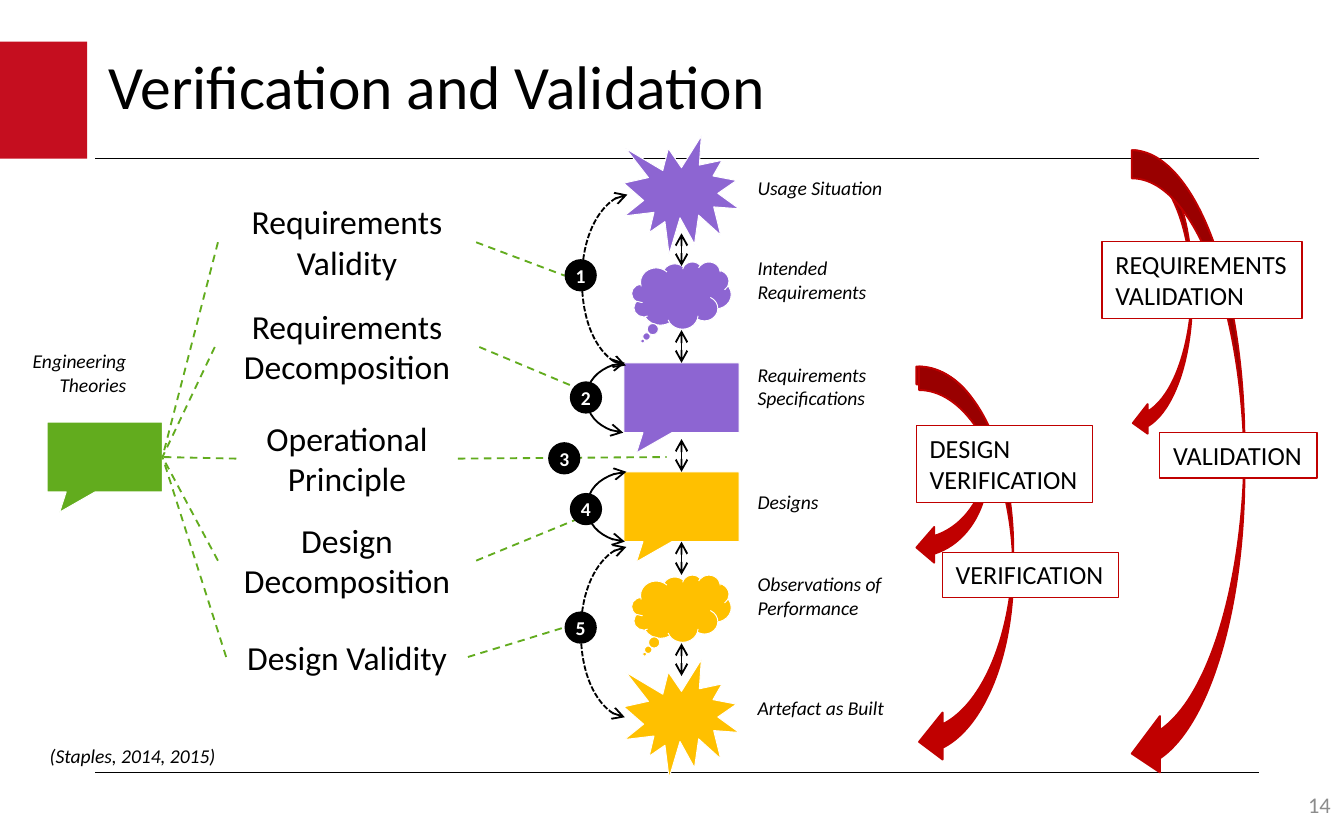
from dataclasses import dataclass

from lxml.etree import SubElement
from pptx import Presentation
from pptx.dml.color import RGBColor
from pptx.enum.dml import MSO_LINE as Dash
from pptx.enum.shapes import MSO_CONNECTOR as Link, MSO_SHAPE as Shape
from pptx.enum.text import MSO_ANCHOR as Anchor, MSO_AUTO_SIZE as Fit, PP_ALIGN as Align
from pptx.oxml.ns import qn
from pptx.util import Cm, Pt

TOP, LEFT, BOTTOM, RIGHT = range(4)


@dataclass(frozen=True)
class Theme:
    font: str = "Calibri"
    black: str = "000000"
    white: str = "FFFFFF"
    grey: str = "8C8C8C"
    banner: str = "C50E1F"
    red: str = "C00000"
    green: str = "62AC1E"
    purple: str = "8D65D2"
    gold: str = "FFC000"
    title: float = 33
    label: float = 18
    box: float = 14
    number: float = 12
    note: float = 10.5


T = Theme()
MID_X = 12.88      # axis of the artefact chain
LABEL_X = 6.56     # axis of the theory labels
CALLOUT = (2.18, 1.32)
STAGES = [  # preset, size, top, colour, adjustments
    (Shape.EXPLOSION1, (2.18, 2.24), 2.57, T.purple, ()),
    (Shape.CLOUD_CALLOUT, (1.88, 1.27), 4.95, T.purple, (-0.39, 0.68)),
    (Shape.RECTANGULAR_CALLOUT, CALLOUT, 6.86, T.purple, (-0.39, 0.79)),
    (Shape.RECTANGULAR_CALLOUT, CALLOUT, 8.92, T.gold, (-0.39, 0.79)),
    (Shape.CLOUD_CALLOUT, (1.88, 1.27), 10.87, T.gold, (-0.37, 0.68)),
    (Shape.EXPLOSION1, (2.18, 2.24), 12.47, T.gold, ()),
]
CAPTIONS = [  # text, top, width, height
    ("Usage Situation", 3.2, 2.9, 0.71),
    ("Intended\nRequirements", 4.72, 2.62, 1.17),
    ("Requirements\nSpecifications", 6.73, 2.62, 1.17),
    ("Designs", 9.14, 1.68, 0.71),
    ("Observations of\nPerformance", 10.69, 2.9, 1.17),
    ("Artefact as Built", 13.03, 2.95, 0.71),
]
THEORIES = [  # text, top, width, height, end of spoke, badge corner
    ("Requirements\nValidity", 3.68, 4.88, 1.8, (10.67, 5.21), (10.67, 4.9)),
    ("Requirements Decomposition", 5.66, 5, 1.8, (10.87, 7.32), (10.77, 7.21)),
    ("Operational Principle", 7.77, 4.19, 1.8, (12.6, 8.64), (10.36, 8.36)),
    ("Design Decomposition", 9.7, 4.88, 1.8, (10.87, 9.83), (10.77, 9.32)),
    ("Design Validity", 11.91, 4.57, 1.02, (10.67, 11.86), (10.67, 11.56)),
]
CURVES = [  # x, top, bottom, bulge, dash
    (11.81, 6.86, 8.18, 0.72, None),
    (11.84, 8.92, 10.24, 0.74, None),
    (11.86, 3.68, 6.91, 0.86, Dash.SQUARE_DOT),
    (11.84, 10.34, 13.56, 0.86, Dash.SQUARE_DOT),
]
LOOPS = [(21.41, 2.84, 1.12, 5.44), (17.32, 6.93, 1.35, 3.76),
         (17.37, 6.93, 1.78, 7.54), (21.39, 2.84, 2.13, 11.94)]
BOXES = [
    ("VERIFICATION", (17.81, 10.44, 3.33, 0.86)),
    ("VALIDATION", (21.92, 8.18, 2.97, 0.86)),
    ("DESIGN\nVERIFICATION", (17.32, 8.05, 3.33, 1.45)),
    ("REQUIREMENTS\vVALIDATION", (20.83, 4.57, 3.78, 1.45)),
]


def cm(values):
    return [Cm(v) for v in values]


def rgb(colour):
    return RGBColor.from_string(colour)


def write(sp, text, size, colour=T.black, align=Align.LEFT, frame=None, **font):
    """Fill a text frame; frame holds its attributes, font those of the runs."""
    tf = sp.text_frame
    for name, value in (frame or {}).items():
        setattr(tf, name, value)
    tf.text = text
    for p in tf.paragraphs:
        p.alignment = align
        for r in p.runs:
            r.font.color.rgb = rgb(colour)
            for name, value in {"name": T.font, "size": Pt(size), **font}.items():
                setattr(r.font, name, value)


def add_text(s, at, text, size, **style):
    sp = s.shapes.add_textbox(*cm(at))
    write(sp, text, size, **style)
    return sp


def add_note(s, at, text, align=Align.LEFT):
    add_text(s, at, text, T.note, align=align, italic=True,
             frame={"word_wrap": False, "auto_size": Fit.SHAPE_TO_FIT_TEXT})


def add_shape(s, preset, at, fill, line=None, width=0.5, adjust=()):
    sp = s.shapes.add_shape(preset, *cm(at))
    sp.shadow.inherit = False
    sp.fill.solid()
    sp.fill.fore_color.rgb = rgb(fill)
    if line:
        sp.line.color.rgb = rgb(line)
        sp.line.width = Pt(width)
    else:
        sp.line.fill.background()
    for i, value in enumerate(adjust):
        sp.adjustments[i] = value
    return sp


def add_line(s, begin, end, colour=T.black, width=1, dash=None, arrows=False, kind=Link.STRAIGHT):
    c = s.shapes.add_connector(kind, *cm((*begin, *end)))
    c.line.color.rgb = rgb(colour)
    c.line.width = Pt(width)
    if dash:
        c.line.dash_style = dash
    if arrows:
        ln = c.line._get_or_add_ln()
        for tag in ("a:headEnd", "a:tailEnd"):
            SubElement(ln, qn(tag), type="arrow")
    SubElement(c._element.spPr, qn("a:effectLst"))
    return c


def add_curve(s, x, top, bottom, bulge, dash):
    """Double arrow that bows to the left of x by the bulge."""
    width = 0.03
    c = add_line(s, (x, top), (x - width, bottom), dash=dash, arrows=True, kind=Link.CURVE)
    guides = c._element.spPr.find(qn("a:prstGeom")).get_or_add_avLst()
    SubElement(guides, qn("a:gd"), name="adj1", fmla=f"val {round(bulge / width * 100000)}")


def add_frame(s):
    add_shape(s, Shape.RECTANGLE, (0, 0.79, 1.65, 2.21), T.banner)
    for y in (3, 14.6):
        add_line(s, (1.8, y), (23.8, y), width=0.75)
    title = s.shapes.title
    title.left, title.top, title.width, title.height = cm((1.8, 0.79, 18.42, 1.8))
    write(title, "Verification and Validation", T.title,
          frame={"vertical_anchor": Anchor.MIDDLE, "auto_size": Fit.NONE})
    title.text_frame.paragraphs[0].line_spacing = 0.9
    add_text(s, (20.24, 14.91, 5.16, 0.61), "14", T.number, colour=T.grey, align=Align.RIGHT,
             frame={"vertical_anchor": Anchor.MIDDLE, "word_wrap": True})
    add_note(s, (0.69, 13.94, 3.71, 0.71), "(Staples, 2014, 2015)")


def add_chain(s):
    stages = [add_shape(s, preset, (MID_X - w / 2, y, w, h), colour, T.white, adjust=adjust)
              for preset, (w, h), y, colour, adjust in STAGES]
    arrows = [add_line(s, (MID_X, y), (MID_X, y - 0.62), arrows=True)
              for y in (5.03, 6.86, 8.92, 10.87, 12.78)]
    specification, design = stages[2:4]
    arrows[1].begin_connect(specification, TOP)
    arrows[2].begin_connect(design, TOP)
    arrows[3].end_connect(design, BOTTOM)
    for text, y, w, h in CAPTIONS:
        add_note(s, (14.07, y, w, h), text)


def add_theories(s):
    source = add_shape(s, Shape.RECTANGULAR_CALLOUT, (0.89, 7.98, *CALLOUT), T.green, T.white,
                       adjust=(-0.39, 0.79))
    add_note(s, (0.33, 6.48, 2.31, 1.17), "Engineering\nTheories", Align.RIGHT)
    for curve in CURVES:
        add_curve(s, *curve)
    for number, (text, y, w, h, end, corner) in enumerate(THEORIES, 1):
        label = add_text(s, (LABEL_X - w / 2, y, w, h), text, T.label, align=Align.CENTER,
                         frame={"word_wrap": True})
        spoke = add_line(s, end, end, T.green, dash=Dash.DASH)
        spoke.begin_connect(label, RIGHT)
        ray = add_line(s, end, end, T.green, dash=Dash.DASH)
        ray.begin_connect(label, LEFT)
        ray.end_connect(source, RIGHT)
        badge = add_shape(s, Shape.OVAL, (*corner, 0.61, 0.61), T.black)
        margins = dict.fromkeys(("margin_left", "margin_right", "margin_top", "margin_bottom"), 0)
        write(badge, str(number), T.note, T.white, Align.CENTER, bold=True,
              frame={**margins, "word_wrap": False, "vertical_anchor": Anchor.MIDDLE})


def add_checks(s):
    for at in LOOPS:
        add_shape(s, Shape.CURVED_LEFT_ARROW, at, T.red, T.red, 1)
    for text, at in BOXES:
        box = add_shape(s, Shape.RECTANGLE, at, T.white, T.red, 0.75)
        write(box, text, T.box, frame={"word_wrap": False, "vertical_anchor": Anchor.TOP,
                                       "auto_size": Fit.SHAPE_TO_FIT_TEXT})


def main():
    prs = Presentation()
    prs.slide_width, prs.slide_height = Cm(25.4), Cm(15.88)
    s = prs.slides.add_slide(prs.slide_layouts[5])
    for add_part in (add_frame, add_chain, add_theories, add_checks):
        add_part(s)
    prs.save("out.pptx")


if __name__ == "__main__":
    main()
